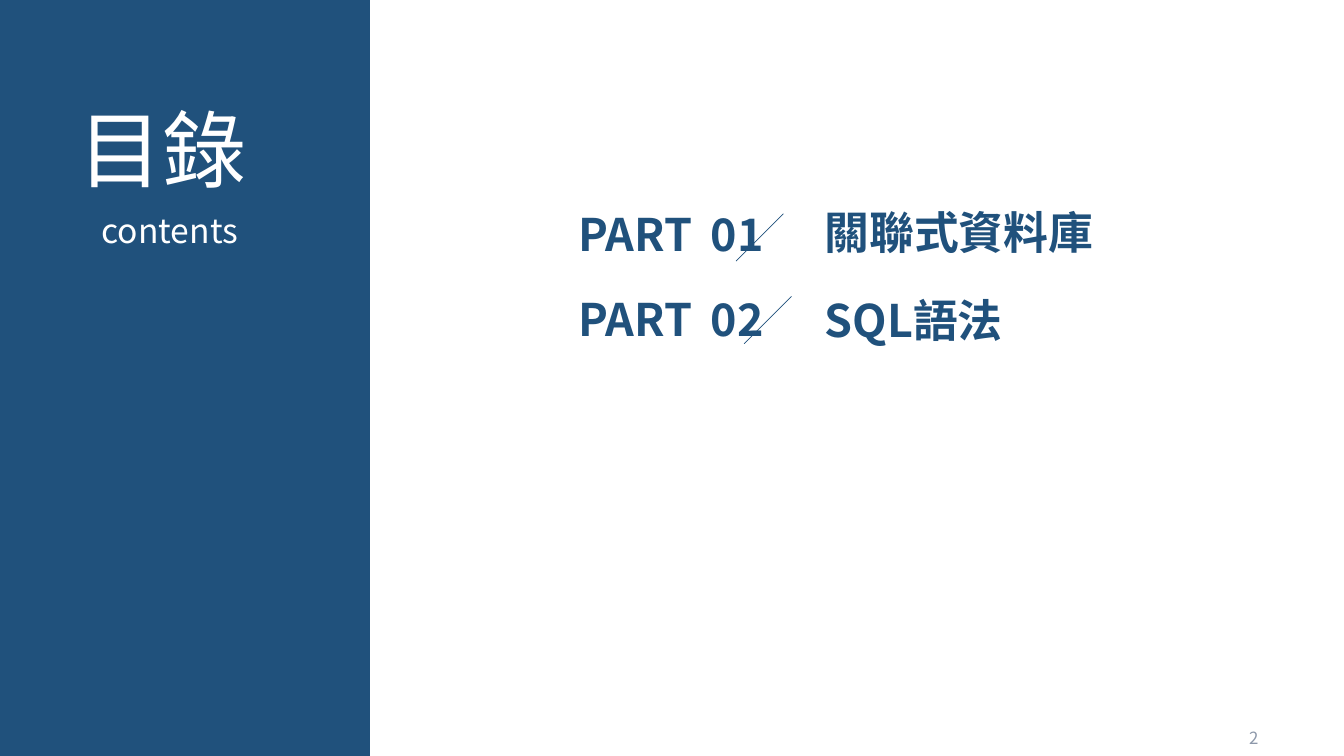
from dataclasses import dataclass, field
from typing import Any

import pptx
import pptx.dml.color
import pptx.enum.shapes
import pptx.enum.text
import pptx.oxml
import pptx.oxml.ns
import pptx.slide
import pptx.util

Inches = pptx.util.Inches
Align = pptx.enum.text.PP_ALIGN
Anchor = pptx.enum.text.MSO_ANCHOR
AutoSize = pptx.enum.text.MSO_AUTO_SIZE


@dataclass(frozen=True)
class Theme:
    font: str = "Noto Sans CJK SC"
    navy: str = "20517C"
    white: str = "FFFFFF"
    grey: str = "8D98AA"
    title_size: int = 60
    subtitle_size: int = 24
    entry_size: int = 32
    number_size: int = 12
    slash_width: float = 0.5


THEME = Theme()


@dataclass(frozen=True)
class Label:
    text: str
    left: float
    top: float
    width: float
    height: float
    size: int
    color: str
    bold: bool = False
    tab: float | None = None
    frame_format: dict[str, Any] = field(default_factory=dict)
    paragraph_format: dict[str, Any] = field(default_factory=dict)


@dataclass(frozen=True)
class Entry:
    number: str
    heading: str
    number_top: float
    heading_top: float
    slash_right: float
    slash_top: float


ENTRIES = (
    Entry("01", "關聯式資料庫", 2.06, 2.04, 7.77, 2.12),
    Entry("02", "SQL語法", 2.90, 2.91, 7.85, 2.94),
)
PART_LEFT, PART_WIDTH, NUMBER_TAB = 5.64, 2.44, 1.31
HEADING_LEFT, HEADING_WIDTH = 8.08, 3.46
ENTRY_HEIGHT = 0.55
SLASH_SPAN = 0.47


def rgb(value: str) -> pptx.dml.color.RGBColor:
    return pptx.dml.color.RGBColor.from_string(value)


def apply_format(target: Any, values: dict[str, Any]) -> None:
    for name, value in values.items():
        setattr(target, name, value)


def add_label(slide: pptx.slide.Slide, label: Label) -> None:
    box = slide.shapes.add_textbox(
        *map(Inches, (label.left, label.top, label.width, label.height)))
    frame = box.text_frame
    apply_format(frame, {"word_wrap": True, **label.frame_format})
    paragraph = frame.paragraphs[0]
    apply_format(paragraph, label.paragraph_format)
    if label.tab is not None:
        properties = paragraph._p.get_or_add_pPr()
        tabs = pptx.oxml.ns.qn("a:tabLst")
        stop = pptx.oxml.ns.qn("a:tab")
        tab_list = properties.makeelement(tabs, {})
        tab_list.append(properties.makeelement(
            stop, {"pos": str(Inches(label.tab)), "algn": "l"}))
        properties.append(tab_list)
    run = paragraph.add_run()
    run.text = label.text
    apply_format(run.font, {
        "name": THEME.font,
        "size": pptx.util.Pt(label.size),
        "bold": label.bold,
    })
    run.font.color.rgb = rgb(label.color)
    run_properties = run._r.get_or_add_rPr()
    run_properties.append(run_properties.makeelement(
        pptx.oxml.ns.qn("a:ea"), {"typeface": THEME.font}))


def add_side_panel(slide: pptx.slide.Slide) -> None:
    panel = slide.shapes.add_shape(
        pptx.enum.shapes.MSO_SHAPE.RECTANGLE,
        *map(Inches, (0, 0, 3.67, 7.5)))
    panel.shadow.inherit = False
    panel.fill.solid()
    panel.fill.fore_color.rgb = rgb(THEME.navy)
    panel.line.fill.background()


def add_slash(slide: pptx.slide.Slide, right: float, top: float) -> None:
    slash = slide.shapes.add_connector(
        pptx.enum.shapes.MSO_CONNECTOR.STRAIGHT,
        *map(Inches, (right, top, right - SLASH_SPAN, top + SLASH_SPAN)))
    slash.line.color.rgb = rgb(THEME.navy)
    slash.line.width = pptx.util.Pt(THEME.slash_width)
    properties = slash._element.spPr
    properties.append(properties.makeelement(
        pptx.oxml.ns.qn("a:effectLst"), {}))


def add_entry(slide: pptx.slide.Slide, entry: Entry) -> None:
    style = {
        "height": ENTRY_HEIGHT, "size": THEME.entry_size,
        "color": THEME.navy, "bold": True,
        "paragraph_format": {"line_spacing": 0.9},
    }
    add_label(slide, Label(f"PART\t{entry.number}", PART_LEFT,
                           entry.number_top, PART_WIDTH,
                           tab=NUMBER_TAB, **style))
    add_label(slide, Label(entry.heading, HEADING_LEFT, entry.heading_top,
                           HEADING_WIDTH, **style))
    add_slash(slide, entry.slash_right, entry.slash_top)


def main() -> None:
    presentation = pptx.Presentation()
    apply_format(presentation, {
        "slide_width": Inches(13.33), "slide_height": Inches(7.5)})
    slide = presentation.slides.add_slide(presentation.slide_layouts[6])

    add_side_panel(slide)
    title_style = {
        "color": THEME.white,
        "frame_format": {"auto_size": AutoSize.SHAPE_TO_FIT_TEXT},
        "paragraph_format": {"alignment": Align.JUSTIFY},
    }
    add_label(slide, Label("目錄", 0.68, 0.92, 2.19, 1.11,
                           THEME.title_size, **title_style))
    add_label(slide, Label("contents", 0.91, 2.03, 1.74, 0.5,
                           THEME.subtitle_size, **title_style))
    for entry in ENTRIES:
        add_entry(slide, entry)
    add_label(slide, Label("2", 9.58, 7.12, 3, 0.4,
                           THEME.number_size, THEME.grey,
                           frame_format={"vertical_anchor": Anchor.MIDDLE},
                           paragraph_format={"alignment": Align.RIGHT}))
    presentation.save("out.pptx")


if __name__ == "__main__":
    main()
